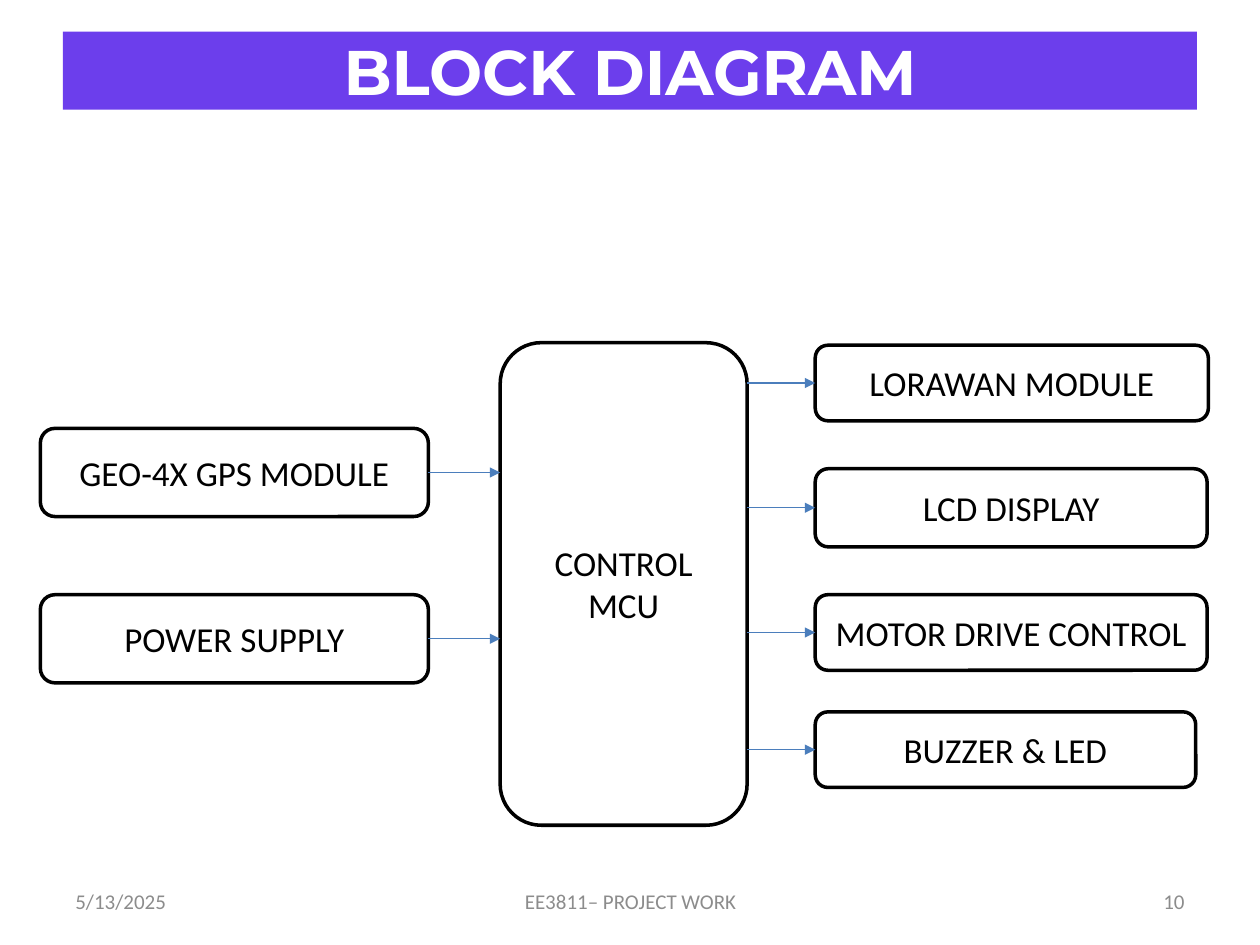
from lxml.etree import SubElement
from pptx import Presentation
from pptx.dml.color import RGBColor
from pptx.enum.shapes import MSO_CONNECTOR, MSO_SHAPE
from pptx.enum.text import MSO_ANCHOR, PP_ALIGN
from pptx.oxml.ns import qn
from pptx.util import Inches, Pt

WIDTH, HEIGHT = 10, 7.5
BLACK, WHITE, PURPLE, BLUE, GREY = "000000", "FFFFFF", "6C3EEC", "4B7EBC", "8C8C8C"

TITLE = "BLOCK DIAGRAM"
CONTROLLER = ("CONTROL MCU", 3.97, 2.72, 1.96, 3.83)
INPUT_LEFT, INPUT_WIDTH, INPUT_HEIGHT = 0.32, 3.08, 0.7
INPUTS = [("GEO-4X GPS MODULE", 3.4), ("POWER SUPPLY", 4.72)]
OUTPUT_LEFT = 6.47
OUTPUTS = [  # label, top, width, height
    ("LORAWAN MODULE", 2.74, 3.12, 0.6),
    ("LCD DISPLAY", 3.72, 3.11, 0.62),
    ("MOTOR DRIVE CONTROL", 4.72, 3.11, 0.6),
    ("BUZZER & LED", 5.65, 3.02, 0.6),
]
FOOTER = [  # text, left, width, alignment
    ("5/13/2025", 0.5, 2.33, PP_ALIGN.LEFT),
    ("EE3811– PROJECT WORK", 3.42, 3.17, PP_ALIGN.CENTER),
    ("10", 7.17, 2.33, PP_ALIGN.RIGHT),
]


def color(value):
    return RGBColor.from_string(value)


def write(shape, text, size, ink, font="Calibri", bold=False, align=PP_ALIGN.CENTER):
    frame = shape.text_frame
    frame.text = text
    frame.word_wrap = True
    frame.vertical_anchor = MSO_ANCHOR.MIDDLE
    para = frame.paragraphs[0]
    para.alignment = align
    span = para.runs[0].font
    span.name, span.size, span.bold = font, Pt(size), bold
    span.color.rgb = color(ink)


def add_box(page, preset, left, top, width, height, fill):
    box = page.shapes.add_shape(preset, *map(Inches, (left, top, width, height)))
    box.shadow.inherit = False
    box.fill.solid()
    box.fill.fore_color.rgb = color(fill)
    box.line.fill.background()
    return box


def add_block(page, label, left, top, width, height):
    block = add_box(page, MSO_SHAPE.ROUNDED_RECTANGLE, left, top, width, height, WHITE)
    block.line.color.rgb = color(BLACK)
    block.line.width = Pt(2)
    write(block, label, 20, BLACK)
    return block


def add_arrow(page, start, end, middle):
    """Draw a level arrow from x = start to x = end at height middle, in EMU."""
    arrow = page.shapes.add_connector(MSO_CONNECTOR.STRAIGHT, start, middle, end, middle)
    arrow.line.color.rgb = color(BLUE)
    arrow.line.width = Pt(0.75)
    SubElement(arrow.line._get_or_add_ln(), qn("a:tailEnd"), type="triangle")
    SubElement(arrow._element.spPr, qn("a:effectLst"))
    return arrow


def build():
    deck = Presentation()
    deck.slide_width, deck.slide_height = Inches(WIDTH), Inches(HEIGHT)
    page = deck.slides.add_slide(deck.slide_layouts[6])

    for text, left, width, align in FOOTER:
        box = page.shapes.add_textbox(*map(Inches, (left, 6.95, width, 0.4)))
        write(box, text, 12, GREY, align=align)

    banner = add_box(page, MSO_SHAPE.RECTANGLE, 0.5, 0.25, 9, 0.62, PURPLE)
    write(banner, TITLE, 36, WHITE, "Montserrat", True)

    controller = add_block(page, *CONTROLLER)
    controller_right = controller.left + controller.width

    for label, top in INPUTS:
        block = add_block(page, label, INPUT_LEFT, top, INPUT_WIDTH, INPUT_HEIGHT)
        middle = block.top + block.height // 2
        arrow = add_arrow(page, block.left + block.width, controller.left, middle)
        arrow.begin_connect(block, 3)

    for label, top, width, height in OUTPUTS:
        block = add_block(page, label, OUTPUT_LEFT, top, width, height)
        middle = block.top + block.height // 2
        arrow = add_arrow(page, controller_right, block.left, middle)
        arrow.end_connect(block, 1)

    deck.save("out.pptx")


if __name__ == "__main__":
    build()
